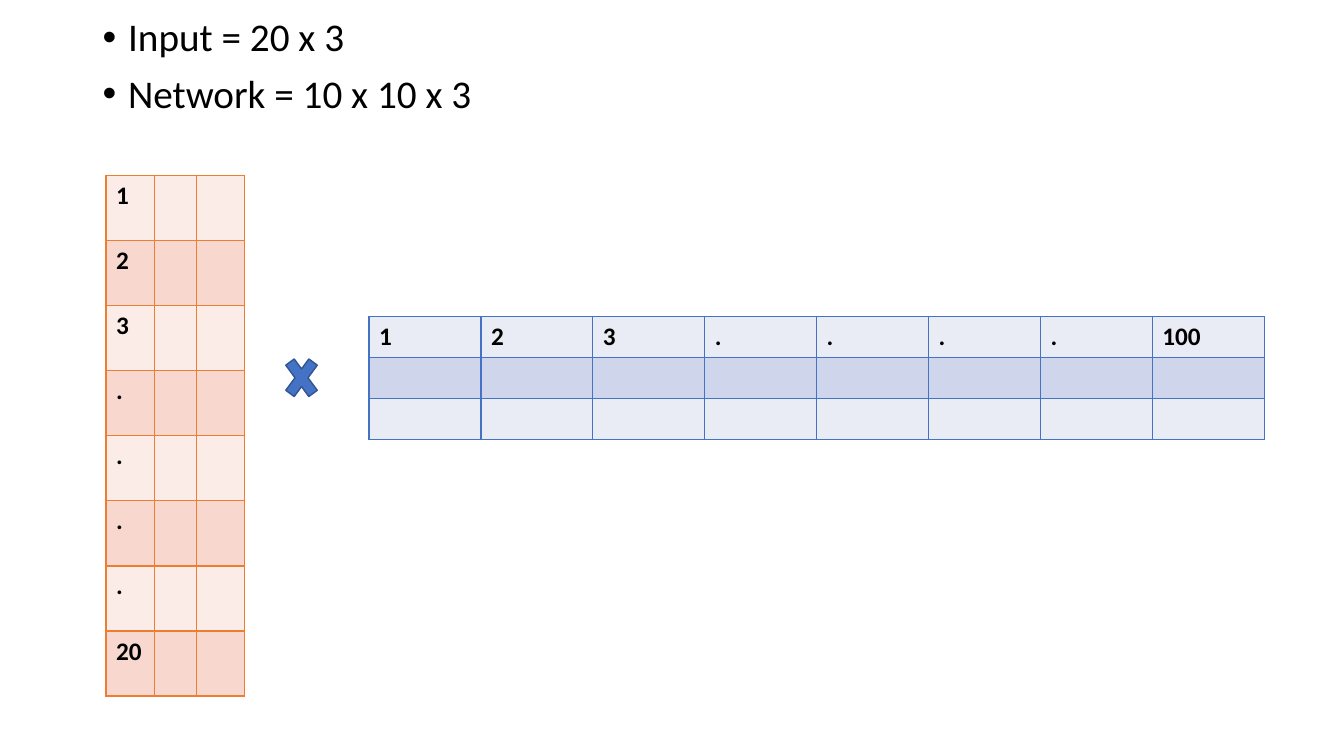
import pptx
import pptx.util
import pptx.dml.color
import pptx.enum.shapes
import pptx.oxml
import pptx.oxml.ns
from dataclasses import dataclass

Cm, Pt = pptx.util.Cm, pptx.util.Pt

# Content
NOTES = ["Input = 20 x 3", "Network = 10 x 10 x 3"]
INPUT = [[mark, "", ""] for mark in ("1", "2", "3", ".", ".", ".", ".", "20")]
NET = [["1", "2", "3", ".", ".", ".", ".", "100"], [""] * 8, [""] * 8]


@dataclass(frozen=True)
class Theme:
    font: str = "Calibri"
    ink: str = "000000"
    body: int = 28
    cell: int = 18
    rule: int = 1
    warm: tuple = ("FCECE8", "F8D7CE")
    warm_rule: str = "ED7D31"
    cool: tuple = ("E9EBF5", "CFD5EA")
    cool_rule: str = "4472C4"
    sign: str = "4472C4"
    sign_rule: str = "325491"


LOOK = Theme()


def rgb(code):
    return pptx.dml.color.RGBColor.from_string(code)


def write(para, text, size, bold=False):
    run = para.add_run()
    run.text = text
    run.font.name, run.font.size, run.font.bold = LOOK.font, Pt(size), bold
    run.font.color.rgb = rgb(LOOK.ink)


def bullet(para):
    props = para._p.get_or_add_pPr()
    props.set("marL", str(Cm(0.64)))
    props.set("indent", str(Cm(-0.64)))
    space = pptx.oxml.ns.nsdecls("a")
    props.append(pptx.oxml.parse_xml(f'<a:buFont {space} typeface="Arial"/>'))
    props.append(pptx.oxml.parse_xml(f'<a:buChar {space} char="•"/>'))


def border(cell, code):
    props = cell._tc.get_or_add_tcPr()
    space = pptx.oxml.ns.nsdecls("a")
    for spot, side in enumerate("LRTB"):
        props.insert(spot, pptx.oxml.parse_xml(
            f'<a:ln{side} {space} w="{Pt(LOOK.rule)}"><a:solidFill>'
            f'<a:srgbClr val="{code}"/></a:solidFill></a:ln{side}>'))


def matrix(slide, data, left, top, widths, height, fills, rule):
    frame = slide.shapes.add_table(
        len(data), len(widths), Cm(left), Cm(top),
        Cm(sum(widths)), Cm(height * len(data)))
    table = frame.table
    for col, width in zip(table.columns, widths):
        col.width = Cm(width)
    for r, line in enumerate(data):
        table.rows[r].height = Cm(height)
        for c, text in enumerate(line):
            cell = table.cell(r, c)
            cell.fill.solid()
            cell.fill.fore_color.rgb = rgb(fills[r % 2])
            border(cell, rule)
            if text:
                write(cell.text_frame.paragraphs[0], text, LOOK.cell, True)


def main():
    deck = pptx.Presentation()
    deck.slide_width, deck.slide_height = Cm(33.87), Cm(19.05)
    slide = deck.slides.add_slide(deck.slide_layouts[6])

    # Bulleted sizes
    box = slide.shapes.add_textbox(Cm(2.34), Cm(0.33), Cm(29.21), Cm(17.22))
    frame = box.text_frame
    frame.word_wrap = True
    for n, note in enumerate(NOTES):
        para = frame.add_paragraph() if n else frame.paragraphs[0]
        para.line_spacing, para.space_before = 0.9, Pt(10)
        bullet(para)
        write(para, note, LOOK.body)

    # Input and network matrices
    matrix(slide, INPUT, 2.67, 4.42, (1.22, 1.07, 1.2), 1.64,
           LOOK.warm, LOOK.warm_rule)
    matrix(slide, NET, 9.3, 7.98, (2.82,) * 8, 1.03,
           LOOK.cool, LOOK.cool_rule)

    # Multiply sign
    sign = slide.shapes.add_shape(
        pptx.enum.shapes.MSO_SHAPE.MATH_MULTIPLY,
        Cm(7.04), Cm(8.76), Cm(1.12), Cm(1.52))
    sign.shadow.inherit = False
    sign.fill.solid()
    sign.fill.fore_color.rgb = rgb(LOOK.sign)
    sign.line.color.rgb = rgb(LOOK.sign_rule)
    sign.line.width = Pt(LOOK.rule)

    deck.save("out.pptx")


if __name__ == "__main__":
    main()
